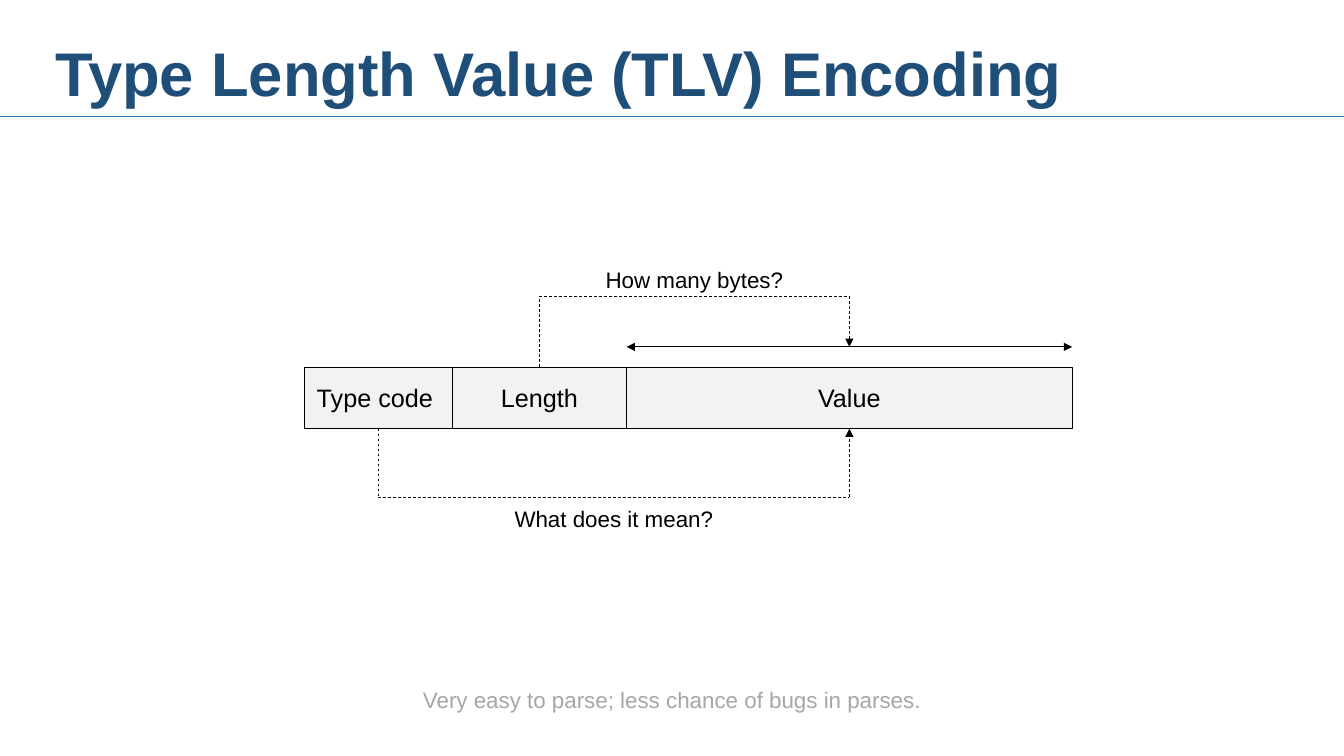
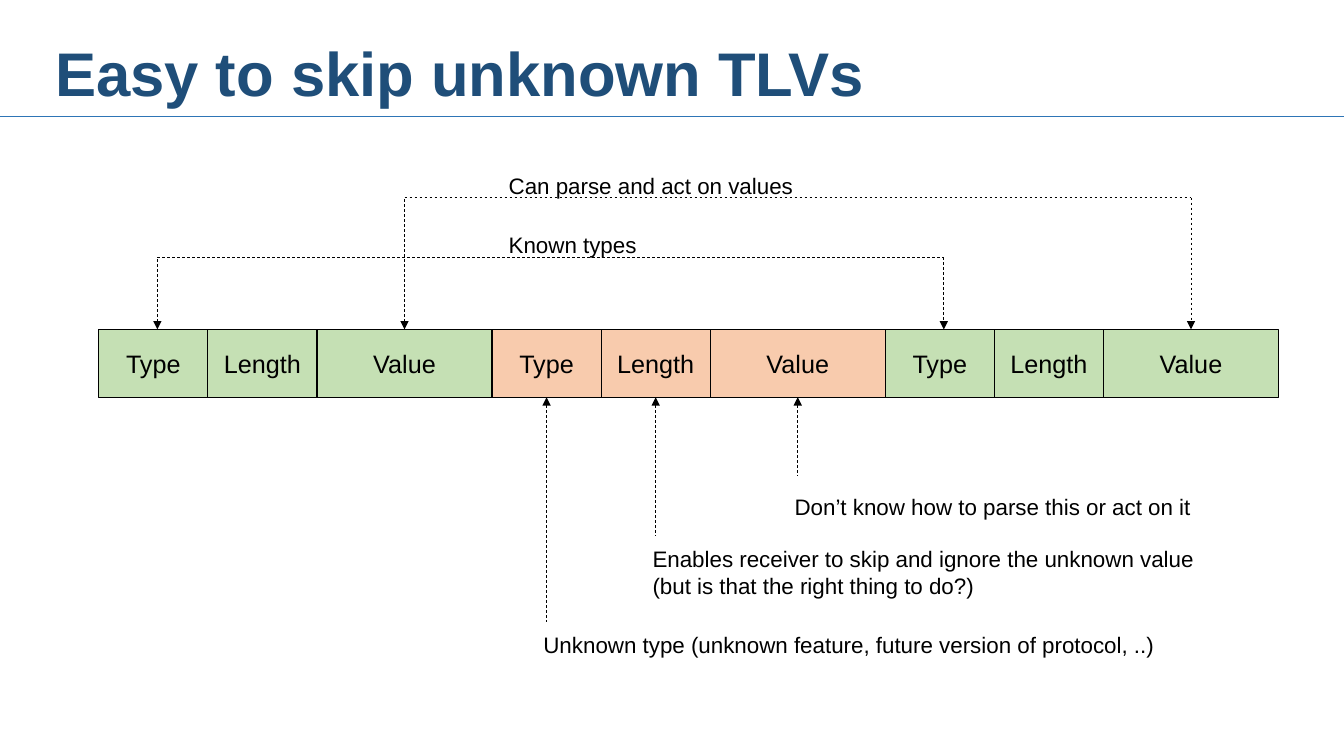
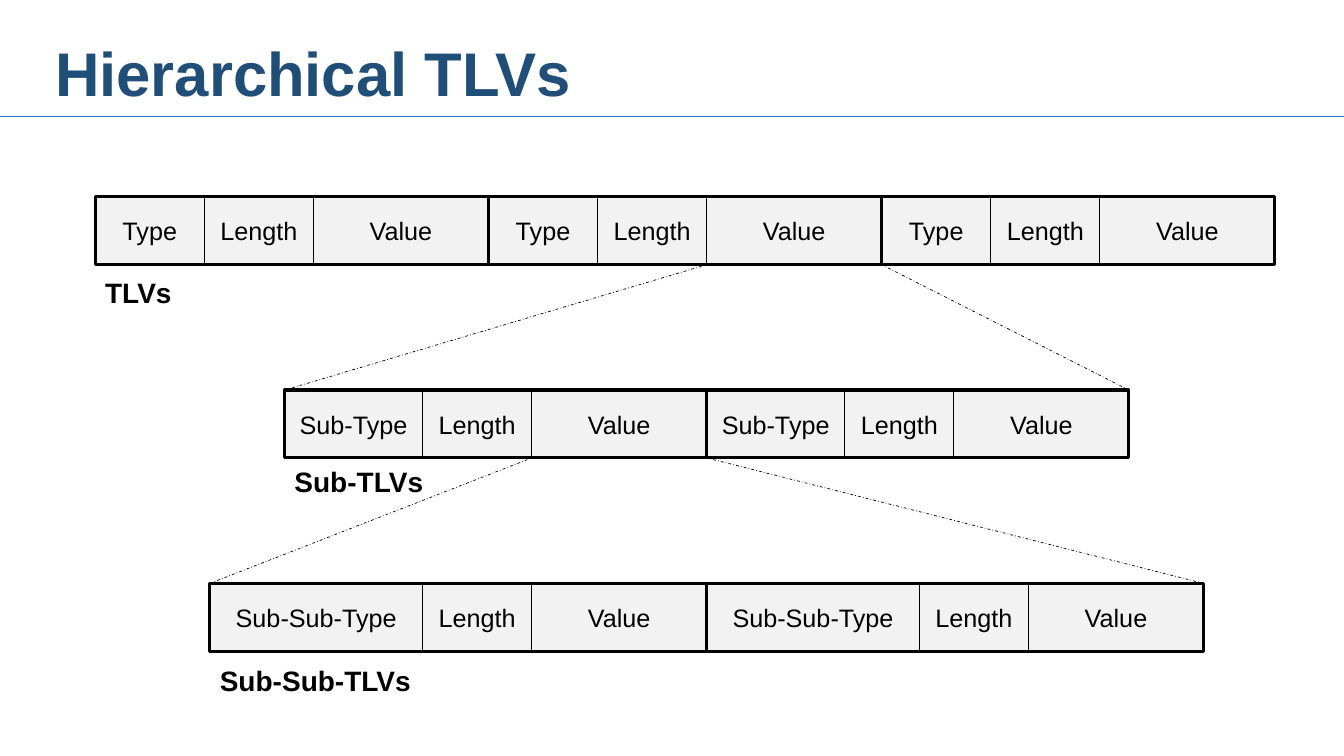
from itertools import pairwise

from lxml.etree import SubElement
from pptx import Presentation
from pptx.dml.color import RGBColor
from pptx.enum.dml import MSO_LINE as Dash
from pptx.enum.shapes import MSO_CONNECTOR as Connector, MSO_SHAPE as Shape
from pptx.enum.text import MSO_ANCHOR as Anchor, PP_ALIGN as Align
from pptx.oxml.ns import qn
from pptx.util import Cm, Pt

# Shared style
FONT = "Arial"
BLACK, TITLE_BLUE, RULE_BLUE = "000000", "1F4E79", "2E75B6"
GRAY_FILL, GRAY_TEXT = "F2F2F2", "A6A6A6"
GREEN, ORANGE = "C5E0B4", "F8CBAD"
SLIDE_WIDTH, SLIDE_HEIGHT = 33.87, 19.05

# Field widths and row height, in centimetres
LENGTH_WIDTH, VALUE_WIDTH, ROW_HEIGHT = 2.75, 4.41, 1.71


def color(hex_string):
    return RGBColor.from_string(hex_string)


def write(shape, text, size, ink=BLACK, bold=False, align=Align.LEFT, wrap=True):
    text_frame = shape.text_frame
    text_frame.text = text
    text_frame.word_wrap = wrap
    text_frame.vertical_anchor = Anchor.MIDDLE
    for paragraph in text_frame.paragraphs:
        paragraph.alignment = align
        for run in paragraph.runs:
            run.font.name = FONT
            run.font.size = Pt(size)
            run.font.bold = bold
            run.font.color.rgb = color(ink)


def add_text(slide, text, left, top, width, height=1.14, size=16, **style):
    box = slide.shapes.add_textbox(Cm(left), Cm(top), Cm(width), Cm(height))
    write(box, text, size, **style)
    return box


def add_box(slide, left, top, width, height, fill=None, line_width=0.75):
    box = slide.shapes.add_shape(
        Shape.RECTANGLE, Cm(left), Cm(top), Cm(width), Cm(height))
    box.shadow.inherit = False
    if fill:
        box.fill.solid()
        box.fill.fore_color.rgb = color(fill)
    else:
        box.fill.background()
    box.line.color.rgb = color(BLACK)
    box.line.width = Pt(line_width)
    return box


def add_line(slide, start, end, ink=BLACK, dash=None, heads=()):
    """Heads may hold "headEnd" (at start) and "tailEnd" (at end)."""
    line = slide.shapes.add_connector(
        Connector.STRAIGHT, *(Cm(value) for value in (*start, *end)))
    line.line.color.rgb = color(ink)
    line.line.width = Pt(0.5)
    if dash:
        line.line.dash_style = dash
    for head in heads:
        SubElement(line.line._get_or_add_ln(), qn(f"a:{head}"), type="triangle")
    SubElement(line._element.spPr, qn("a:effectLst"))


def add_bracket(slide, start, level, end, start_head=False):
    """Dashed path that leaves start, runs at level and points at end."""
    corners = [start, (start[0], level), (end[0], level), end]
    heads = [["headEnd"] if start_head else [], [], ["tailEnd"]]
    for (first, second), head in zip(pairwise(corners), heads):
        add_line(slide, first, second, dash=Dash.DASH, heads=head)


def add_fields(slide, left, top, height, fields, fill=GRAY_FILL):
    """Draw adjoining labelled fields and return their edges."""
    edges = [left]
    for label, width in fields:
        box = add_box(slide, edges[-1], top, width, height, fill)
        write(box, label, 18, align=Align.CENTER, wrap=False)
        edges.append(edges[-1] + width)
    return edges


def tlv_fields(type_label="Type", type_width=2.75):
    return [(type_label, type_width), ("Length", LENGTH_WIDTH), ("Value", VALUE_WIDTH)]


def middles(edges):
    return [(first + second) / 2 for first, second in pairwise(edges)]


def add_titled_slide(presentation, title):
    slide = presentation.slides.add_slide(presentation.slide_layouts[6])
    add_line(slide, (0, 2.93), (SLIDE_WIDTH, 2.93), ink=RULE_BLUE)
    box = add_text(slide, title, 1.14, 0.91, 31.47, 2.06,
                   size=44, ink=TITLE_BLUE, bold=True)
    box.text_frame.paragraphs[0].line_spacing = 0.9
    return slide


def build_encoding(presentation):
    slide = add_titled_slide(presentation, "Type Length Value (TLV) Encoding")
    top, height, span_level = 9.25, 1.55, 8.74
    bottom = top + height
    edges = add_fields(slide, 7.67, top, height,
                       [("Type code ", 3.73), ("Length", 4.39), ("Value", 11.23)])
    type_x, length_x, value_x = middles(edges)

    # Length tells the size, type tells the meaning
    add_bracket(slide, (length_x, top), 7.47, (value_x, span_level))
    add_bracket(slide, (type_x, bottom), 12.52, (value_x, bottom))
    add_line(slide, (edges[2], span_level), (edges[3], span_level),
             heads=["headEnd", "tailEnd"])

    add_text(slide, "What does it mean?", type_x, 12.5, value_x - type_x,
             align=Align.CENTER)
    add_text(slide, "How many bytes?", length_x, 6.48, value_x - length_x,
             align=Align.CENTER)
    add_text(slide, "Very easy to parse; less chance of bugs in parses.",
             0, 17.07, SLIDE_WIDTH, ink=GRAY_TEXT, align=Align.CENTER)


def build_skipping(presentation):
    slide = add_titled_slide(presentation, "Easy to skip unknown TLVs")
    top = 8.3
    bottom = top + ROW_HEIGHT
    left, centers = 2.49, []
    for fill in (GREEN, ORANGE, GREEN):
        edges = add_fields(slide, left, top, ROW_HEIGHT, tlv_fields(), fill)
        centers.append(middles(edges))
        left = edges[-1]
    known_first, unknown, known_last = centers

    # Brackets joining the known fields: field index, level, shift, label
    for field, level, shift, label in (
            (0, 6.48, 0.1, "Known types"),
            (2, 4.98, 0, "Can parse and act on values")):
        add_bracket(slide, (known_first[field] + shift, top), level,
                    (known_last[field] + shift, top), start_head=True)
        add_text(slide, label, 12.57, level - 0.88, 8.5)

    # Callouts under the unknown fields: line end, text top, text height, text
    callouts = (
        (15.67, 15.67, 1.14,
         "Unknown type (unknown feature, future version of protocol, ..)"),
        (13.49, 13.64, 1.57,
         "Enables receiver to skip and ignore the unknown value\n"
         "(but is that the right thing to do?)"),
        (11.99, 12.19, 1.14, "Don’t know how to parse this or act on it"),
    )
    for x, (line_end, text_top, height, text) in zip(unknown, callouts):
        add_line(slide, (x, bottom), (x, line_end), dash=Dash.DASH,
                 heads=["headEnd"])
        width = min(16.76, SLIDE_WIDTH - x)
        add_text(slide, text, x - 0.33, text_top, width, height)


def build_hierarchy(presentation):
    slide = add_titled_slide(presentation, "Hierarchical TLVs")
    first_top, row_step = 4.96, 4.87
    # Row left, TLV count, type label, type width, caption, caption offset,
    # index of the TLV whose value is expanded in the next row
    levels = (
        (2.4, 3, "Type", 2.75, "TLVs", 1.56, 1),
        (7.17, 2, "Sub-Type", 3.48, "Sub-TLVs", 1.46, 0),
        (5.29, 2, "Sub-Sub-Type", 5.36, "Sub-Sub-TLVs", 1.6, None),
    )
    parent = None
    for row, (left, count, label, width, caption, offset, expanded) in enumerate(levels):
        top = first_top + row * row_step
        fields = tlv_fields(label, width)
        edges = add_fields(slide, left, top, ROW_HEIGHT, fields * count)
        ends = edges[::len(fields)]
        for start, end in pairwise(ends):
            add_box(slide, start, top, end - start, ROW_HEIGHT, line_width=2.25)
        add_text(slide, caption, left, top + offset, 6.4, 1.7, size=20, bold=True)

        # Fan out from the expanded value above
        if parent:
            for corner, row_end in zip(parent, (ends[0], ends[-1])):
                add_line(slide, (row_end, top), corner, dash=Dash.DASH_DOT)
        if expanded is not None:
            value = expanded * len(fields) + 2
            parent = [(x, top + ROW_HEIGHT) for x in edges[value:value + 2]]


def main():
    presentation = Presentation()
    presentation.slide_width = Cm(SLIDE_WIDTH)
    presentation.slide_height = Cm(SLIDE_HEIGHT)
    build_encoding(presentation)
    build_skipping(presentation)
    build_hierarchy(presentation)
    presentation.save("out.pptx")


if __name__ == "__main__":
    main()
